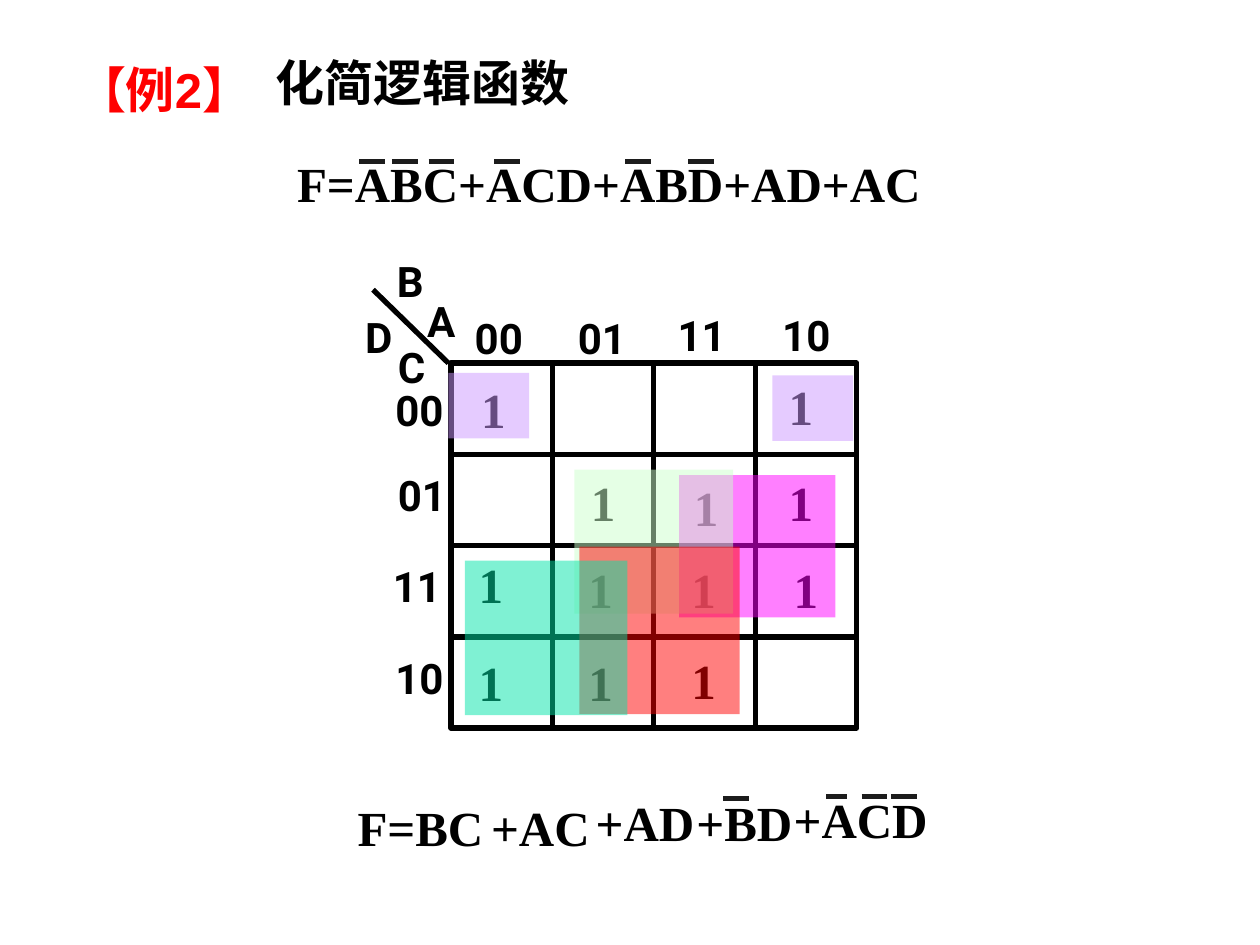
"""Build a slide that simplifies a logic function with a Karnaugh map."""
from typing import NamedTuple

from lxml import etree
from pptx import Presentation
from pptx import util as u
from pptx.dml.color import RGBColor
from pptx.enum import shapes, text
from pptx.oxml import ns

SERIF, SANS = "Times New Roman", "Roboto"
BLACK, BAR_COLOUR = "000000", "1C1C1C"
GRID_LEFT, GRID_TOP, CELL_WIDTH, CELL_HEIGHT, CELLS = 9.09, 7.32, 2.045, 1.84, 4


class Label(NamedTuple):
    words: str
    left: float
    top: float
    width: float
    height: float = 1.45
    size: int = 28
    font: str = SERIF


class Bar(NamedTuple):
    left: float
    top: float
    width: float = 0.52


class Loop(NamedTuple):
    colour: str
    left: float
    top: float
    width: float
    height: float


def axis_label(words: str, left: float, top: float, width: float = 1.6) -> Label:
    return Label(words, left, top, width, 1.27, 24, SANS)


def minterm(left: float, top: float, width: float) -> Label:
    return Label("1", left, top, width)


FORMULA = [
    Label("F=ABC+ACD+ABD+AD+AC", 5.74, 2.97, 13.36),
    Label("化简逻辑函数", 5.31, 0.94, 7.39),
]
FORMULA_BARS = [Bar(left, 3.25) for left in (7.24, 7.9, 8.64, 9.96, 12.6, 13.87)]
AXIS_LABELS = [
    axis_label("B", 7.75, 5.03, 1.19),
    axis_label("A", 8.36, 5.84, 1.19),
    axis_label("D", 7.11, 6.15, 1.19),
    axis_label("C", 7.77, 6.76, 1.19),
    axis_label("00", 9.32, 6.17),
    axis_label("01", 11.4, 6.17),
    axis_label("11", 13.41, 6.12),
    axis_label("10", 15.52, 6.12),
    axis_label("00", 7.72, 7.62),
    axis_label("01", 7.77, 9.35),
    axis_label("11", 7.67, 11.18),
    axis_label("10", 7.72, 13.03),
]
MINTERMS = [
    minterm(9.45, 7.52, 1.6),
    minterm(15.65, 7.47, 1.37),
    minterm(11.66, 9.4, 1.5),
    minterm(13.74, 9.5, 1.5),
    minterm(15.65, 9.4, 1.37),
    minterm(9.4, 11.05, 2.16),
    minterm(11.61, 11.15, 1.7),
    minterm(13.69, 11.15, 1.98),
    minterm(15.75, 11.15, 1.37),
    minterm(9.4, 13.03, 1.6),
    minterm(11.61, 13.03, 1.7),
    minterm(13.69, 12.98, 1.7),
]
LOOPS = [
    Loop("FF00FF", 13.69, 9.58, 3.15, 2.87),
    Loop("CCFFCC", 11.58, 9.47, 3.2, 2.9),
    Loop("FF0000", 11.68, 11.02, 3.23, 3.38),
    Loop("00E4A8", 9.37, 11.3, 3.28, 3.12),
    Loop("CC99FF", 9.04, 7.52, 1.63, 1.32),
    Loop("CC99FF", 15.57, 7.57, 1.63, 1.32),
]
RESULT = [
    Label("F=BC", 6.96, 15.95, 3.48),
    Label("+AC", 9.65, 15.95, 3.38),
    Label("+AD", 11.76, 15.85, 2.77),
    Label("+BD", 13.79, 15.85, 2.77),
    Label("+ACD", 15.75, 15.8, 3.61),
]
RESULT_BARS = [Bar(14.58, 16.1), Bar(16.66, 16.05, 0.41), Bar(17.37, 16.05), Bar(17.96, 16.05)]


def colour(value: str) -> RGBColor:
    return RGBColor.from_string(value)


def add_span(para, words: str, size: int, font: str, shade: str = BLACK) -> None:
    span = para.add_run()
    span.text = words
    span.font.size, span.font.name, span.font.bold = u.Pt(size), font, True
    span.font.color.rgb = colour(shade)


def add_label(page, label: Label) -> None:
    box = page.shapes.add_textbox(
        u.Cm(label.left), u.Cm(label.top), u.Cm(label.width), u.Cm(label.height))
    box.text_frame.word_wrap = True
    add_span(box.text_frame.paragraphs[0], label.words, label.size, label.font)


def add_line(page, x1: float, y1: float, x2: float, y2: float, shade: str = BLACK) -> None:
    line = page.shapes.add_connector(
        shapes.MSO_CONNECTOR.STRAIGHT, u.Cm(x1), u.Cm(y1), u.Cm(x2), u.Cm(y2))
    line.line.color.rgb, line.line.width = colour(shade), u.Pt(3)
    etree.SubElement(line._element.spPr, ns.qn("a:effectLst"))


def add_bar(page, bar: Bar) -> None:
    add_line(page, bar.left, bar.top, bar.left + bar.width, bar.top, BAR_COLOUR)


def add_rectangle(page, left: float, top: float, width: float, height: float):
    rectangle = page.shapes.add_shape(
        shapes.MSO_SHAPE.RECTANGLE, u.Cm(left), u.Cm(top), u.Cm(width), u.Cm(height))
    rectangle.shadow.inherit = False
    return rectangle


def add_loop(page, loop: Loop) -> None:
    rectangle = add_rectangle(page, *loop[1:])
    rectangle.line.fill.background()
    rectangle.fill.solid()
    rectangle.fill.fore_color.rgb = colour(loop.colour)
    shade = rectangle._element.spPr.find(".//" + ns.qn("a:srgbClr"))
    etree.SubElement(shade, ns.qn("a:alpha"), val="50000")


def add_grid(page) -> None:
    columns = [GRID_LEFT + index * CELL_WIDTH for index in range(CELLS + 1)]
    rows = [GRID_TOP + index * CELL_HEIGHT for index in range(CELLS + 1)]
    for top in rows[:-1]:
        for left in columns[:-1]:
            cell = add_rectangle(page, left, top, CELL_WIDTH, CELL_HEIGHT)
            cell.fill.background()
            cell.line.color.rgb, cell.line.width = colour(BLACK), u.Pt(3)
    for top in rows:
        add_line(page, columns[0], top, columns[-1], top)
    for left in columns:
        add_line(page, left, rows[0], left, rows[-1])
    add_line(page, 9.04, GRID_TOP, 7.52, 5.84)


def add_title(page) -> None:
    title = page.shapes.title
    title.left, title.top, title.width, title.height = map(u.Cm, (1.3, 1.17, 4.85, 1.35))
    frame = title.text_frame
    frame.auto_size = text.MSO_AUTO_SIZE.NONE
    frame.vertical_anchor = text.MSO_ANCHOR.BOTTOM
    para = frame.paragraphs[0]
    para.alignment = text.PP_ALIGN.LEFT
    add_span(para, "【例2】", 28, "Arial", "FF0000")


def main() -> None:
    deck = Presentation()
    deck.slide_width, deck.slide_height = u.Cm(25.4), u.Cm(19.05)
    page = deck.slides.add_slide(deck.slide_layouts.get_by_name("Title Only"))
    add_title(page)
    for label in FORMULA:
        add_label(page, label)
    for bar in FORMULA_BARS:
        add_bar(page, bar)
    add_grid(page)
    for label in AXIS_LABELS + MINTERMS:
        add_label(page, label)
    for loop in LOOPS:
        add_loop(page, loop)
    for label in RESULT:
        add_label(page, label)
    for bar in RESULT_BARS:
        add_bar(page, bar)
    deck.save("out.pptx")


if __name__ == "__main__":
    main()
